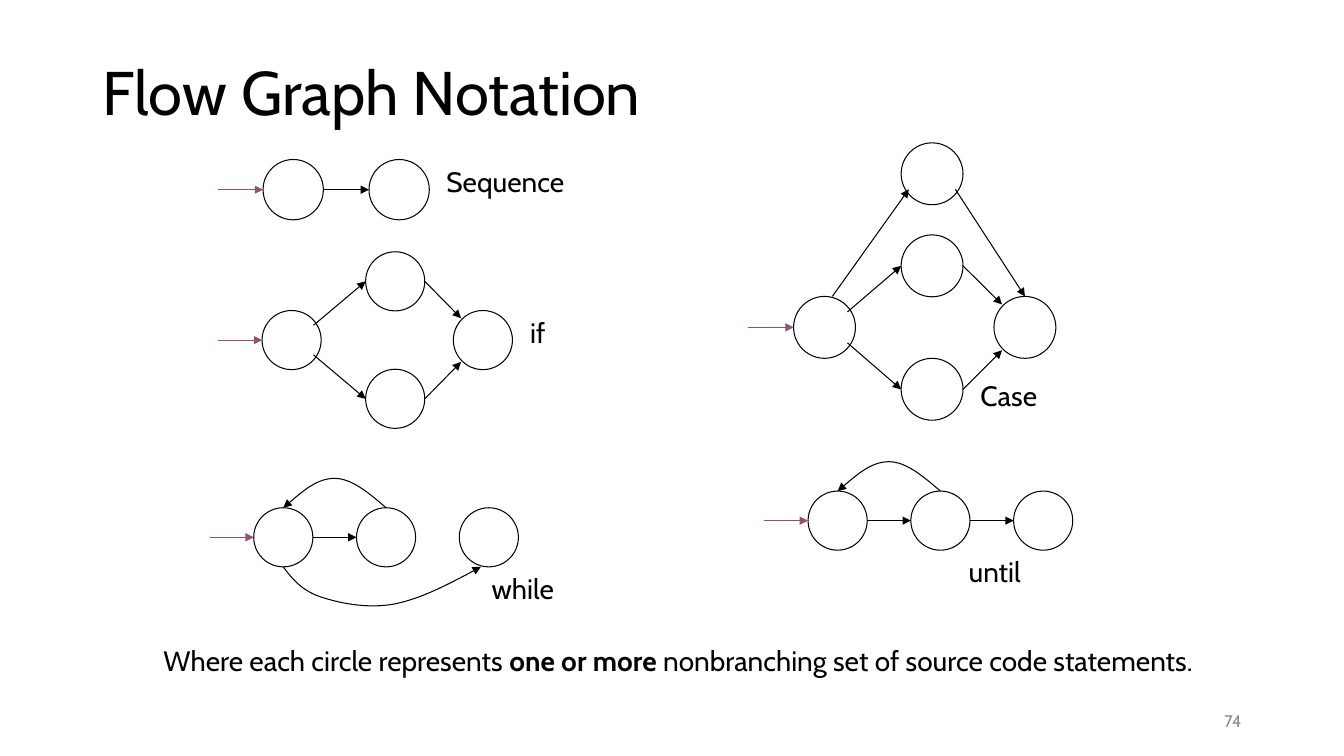
from lxml.etree import SubElement
from pptx import Presentation
from pptx.dml.color import RGBColor
from pptx.enum.shapes import MSO_CONNECTOR as Link, MSO_SHAPE as Shape
from pptx.enum.text import MSO_ANCHOR as Anchor, PP_ALIGN as Align
from pptx.oxml.ns import qn
from pptx.util import Cm, Pt

FONT = "Cabin"
COLORS = {"ink": "000000", "entry": "954F72", "number": "8C8C8C"}

# Points on a circle's rim, in radii from its centre
LEFT, RIGHT, TOP, BOTTOM = (-1, 0), (1, 0), (0, -1), (0, 1)
FORK_UP, FORK_DOWN = (0.74, -0.5), (0.74, 0.5)
JOIN_ABOVE, JOIN_BELOW = (-0.74, -0.74), (-0.74, 0.74)


def color(name):
    return RGBColor.from_string(COLORS[name])


def rim(node, direction):
    """Point in cm on the rim of a node (x, y, diameter)."""
    x, y, diameter = node
    return x + direction[0] * diameter / 2, y + direction[1] * diameter / 2


def style_line(shape, name="ink", arrow=False):
    shape.line.color.rgb = color(name)
    shape.line.width = Pt(0.75)
    if arrow:
        outline = shape._element.spPr.find(qn("a:ln"))
        SubElement(outline, qn("a:tailEnd"), type="triangle")


def add_nodes(shapes, nodes):
    for node in nodes:
        x, y = rim(node, (-1, -1))
        circle = shapes.add_shape(Shape.OVAL, Cm(x), Cm(y), Cm(node[2]), Cm(node[2]))
        circle.shadow.inherit = False
        circle.fill.background()
        style_line(circle)


def add_arrow(shapes, start, end, name="ink"):
    arrow = shapes.add_connector(Link.STRAIGHT, *map(Cm, start + end))
    style_line(arrow, name, arrow=True)
    SubElement(arrow._element.spPr, qn("a:effectLst"))


def add_edge(shapes, source, leave, target, arrive):
    add_arrow(shapes, rim(source, leave), rim(target, arrive))


def add_entry(shapes, node):
    x, y = rim(node, LEFT)
    add_arrow(shapes, (x - 0.74 * node[2], y), (x, y), "entry")


def add_curve(shapes, start, offsets):
    """Arrow of cubic curves; offsets from start come in threes."""
    builder = shapes.build_freeform(Cm(start[0]), Cm(start[1]))
    builder.add_line_segments(
        [(Cm(start[0] + dx), Cm(start[1] + dy)) for dx, dy in offsets], close=False)
    curve = builder.convert_to_shape()
    curve.shadow.inherit = False
    curve.fill.background()
    style_line(curve, arrow=True)
    outline = next(curve._element.iter(qn("a:path")))
    segments = outline.findall(qn("a:lnTo"))
    for first in range(0, len(segments), 3):
        bezier = SubElement(outline, qn("a:cubicBezTo"))
        for segment in segments[first:first + 3]:
            bezier.append(segment[0])
            outline.remove(segment)


def add_text(shapes, box, runs, size=20, name="ink", align=Align.LEFT, anchor=Anchor.TOP):
    """Runs are (words, bold) pairs."""
    frame = shapes.add_textbox(*map(Cm, box)).text_frame
    frame.word_wrap = True
    frame.vertical_anchor = anchor
    paragraph = frame.paragraphs[0]
    paragraph.alignment = align
    paragraph.font.name = FONT
    paragraph.font.size = Pt(size)
    paragraph.font.color.rgb = color(name)
    for words, bold in runs:
        run = paragraph.add_run()
        run.text = words
        if bold:
            run.font.bold = True


def add_label(shapes, x, y, word):
    add_text(shapes, (x, y, 3.8, 1.12), [(word, False)])


def add_title(slide):
    title = slide.shapes.title
    title.left, title.top, title.width, title.height = map(Cm, (2.33, 0.56, 29.21, 3.68))
    title.text_frame.text = "Flow Graph Notation"
    title.text_frame.vertical_anchor = Anchor.MIDDLE
    heading = title.text_frame.paragraphs[0]
    heading.alignment = Align.LEFT
    heading.line_spacing = 0.9
    heading.font.name = FONT
    heading.font.size = Pt(44)
    heading.font.color.rgb = color("ink")


def add_sequence(shapes):
    first, second = nodes = [(x, 4.78, 1.52) for x in (7.39, 10.06)]
    add_nodes(shapes, nodes)
    add_entry(shapes, first)
    add_edge(shapes, first, RIGHT, second, LEFT)
    add_label(shapes, 11, 4.01, "Sequence")


def add_branches(shapes, start, upper, lower, end):
    """Circles that fork into two branches and join again."""
    add_nodes(shapes, (start, upper, lower, end))
    add_entry(shapes, start)
    for branch, fork, join in ((upper, FORK_UP, JOIN_ABOVE), (lower, FORK_DOWN, JOIN_BELOW)):
        add_edge(shapes, start, fork, branch, LEFT)
        add_edge(shapes, branch, RIGHT, end, join)


def add_if(shapes):
    size = 1.49
    add_branches(shapes, (7.35, 8.57, size), (9.96, 7.09, size),
                 (9.96, 10.05, size), (12.17, 8.57, size))
    add_label(shapes, 13.11, 7.82, "if")


def add_case(shapes):
    size = 1.56
    start, end, top = (20.78, 8.25, size), (25.83, 8.25, size), (23.49, 4.38, size)
    add_branches(shapes, start, (23.49, 6.7, size), (23.49, 9.81, size), end)
    add_nodes(shapes, [top])
    add_edge(shapes, start, (0.25, -1), top, (-0.75, 0.5))
    add_edge(shapes, top, (0.75, 0.5), end, TOP)
    add_label(shapes, 24.46, 9.42, "Case")


def add_loop(shapes, x, y):
    """Three circles, with an arrow back from the second to the first."""
    step = 2.59
    nodes = [(x + step * i, y, 1.49) for i in range(3)]
    add_nodes(shapes, nodes)
    add_entry(shapes, nodes[0])
    add_edge(shapes, nodes[0], RIGHT, nodes[1], LEFT)
    add_curve(shapes, rim(nodes[1], TOP), [
        (-step / 6, -0.37), (-step / 3, -0.74), (-step / 2, -0.74),
        (-step * 2 / 3, -0.74), (-step * 5 / 6, -0.37), (-step, 0)])
    return nodes


def add_while(shapes):
    test, _, _ = add_loop(shapes, 7.14, 13.54)
    add_curve(shapes, rim(test, BOTTOM), [
        (0.22, 0.3), (0.46, 0.59), (0.92, 0.75),
        (1.39, 0.91), (2.1, 1.06), (2.78, 0.94), (3.45, 0.81), (4.22, 0.41), (4.98, 0)])
    add_label(shapes, 12.14, 14.27, "while")


def add_until(shapes):
    _, test, after = add_loop(shapes, 21.11, 13.12)
    add_edge(shapes, test, RIGHT, after, LEFT)
    add_label(shapes, 24.16, 13.86, "until")


def main():
    deck = Presentation()
    deck.slide_width, deck.slide_height = Cm(33.87), Cm(19.05)
    slide = deck.slides.add_slide(deck.slide_layouts[5])
    add_title(slide)

    # One group for each control structure
    for add_structure in (add_sequence, add_if, add_case, add_while, add_until):
        add_structure(slide.shapes.add_group_shape().shapes)

    # Explanation and slide number
    add_text(slide.shapes, (3.87, 16.08, 26.82, 1.12), [
        ("Where each circle represents ", False), ("one or more ", True),
        ("nonbranching set of source code statements.", False)])
    add_text(slide.shapes, (23.92, 17.65, 7.62, 1.01), [("74", False)],
             12, "number", Align.RIGHT, Anchor.MIDDLE)
    deck.save("out.pptx")


if __name__ == "__main__":
    main()
